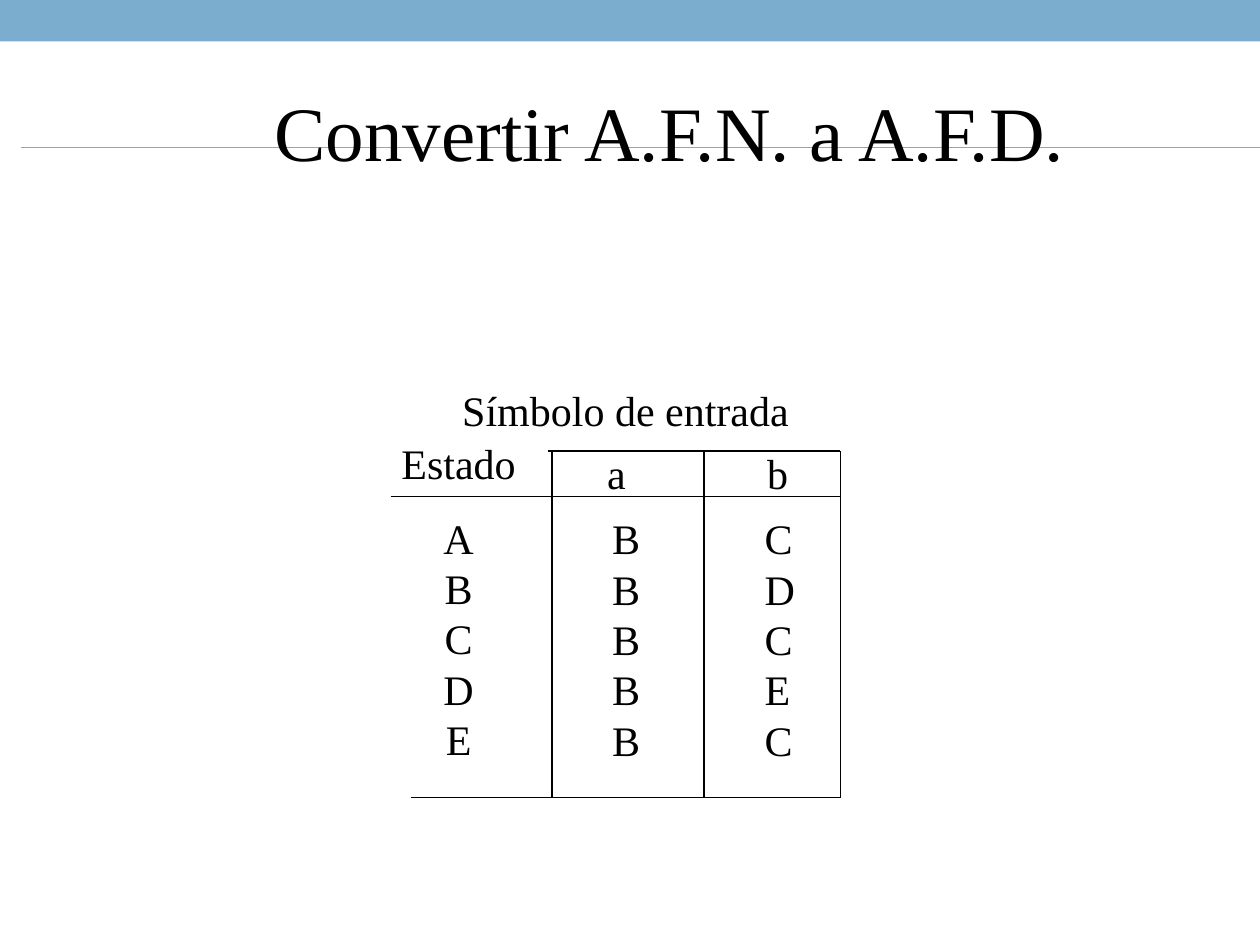
from dataclasses import dataclass

from lxml import etree
from pptx import Presentation
from pptx.dml.color import RGBColor
from pptx.enum.shapes import MSO_CONNECTOR, MSO_SHAPE
from pptx.enum.text import MSO_ANCHOR, PP_ALIGN
from pptx.oxml.ns import qn
from pptx.slide import Slide
from pptx.util import Inches, Pt

LEFT, CENTER = PP_ALIGN.LEFT, PP_ALIGN.CENTER
TOP, MIDDLE = MSO_ANCHOR.TOP, MSO_ANCHOR.MIDDLE
STRAIGHT = MSO_CONNECTOR.STRAIGHT
RECTANGLE = MSO_SHAPE.RECTANGLE

BLACK = RGBColor(0x00, 0x00, 0x00)
BLUE = RGBColor(0x7B, 0xAE, 0xCE)
FONT = "Times New Roman"

HEADER_TOP, HEADER_BOTTOM, TABLE_BOTTOM = 3.58, 3.94, 6.33
TABLE_RIGHT = 6.67


@dataclass(frozen=True)
class Rule:
    x1: float
    y1: float
    x2: float
    y2: float
    color: RGBColor = BLACK


@dataclass(frozen=True)
class Label:
    left: float
    top: float
    width: float
    height: float
    lines: tuple[str, ...]
    size: int = 24
    align: PP_ALIGN = LEFT
    anchor: MSO_ANCHOR = TOP
    header_gap: int = 0


RULES = [
    Rule(0.17, 1.17, 10, 1.17, BLUE),
    Rule(3.1, HEADER_BOTTOM, TABLE_RIGHT, HEADER_BOTTOM),
    Rule(3.26, TABLE_BOTTOM, TABLE_RIGHT, TABLE_BOTTOM),
    Rule(4.35, HEADER_TOP, TABLE_RIGHT, HEADER_TOP),
    *(Rule(x, HEADER_TOP, x, TABLE_BOTTOM) for x in (4.38, 5.59, TABLE_RIGHT)),
]

LABELS = [
    Label(2.94, 3.42, 1.4, 2.7, ("Estado", *"ABCDE"), align=CENTER, header_gap=14),
    Label(3.57, 3, 3.81, 0.5, ("Símbolo de entrada",)),
    Label(4.72, 3.5, 0.5, 0.5, ("a",)),
    Label(5.99, 3.5, 0.5, 0.5, ("b",)),
    Label(4.76, 4.02, 0.5, 2.1, tuple("BBBBB")),
    Label(5.97, 4.02, 0.5, 2.1, tuple("CDCEC")),
    Label(2.08, 0.25, 7.75, 1.58, ("Convertir A.F.N. a A.F.D.",), 44, anchor=MIDDLE),
]


def draw_band(page: Slide) -> None:
    band = page.shapes.add_shape(RECTANGLE, 0, 0, Inches(10), Inches(0.33))
    band.shadow.inherit = False
    band.fill.solid()
    band.fill.fore_color.rgb = BLUE
    band.line.fill.background()


def draw_rule(page: Slide, rule: Rule) -> None:
    ends = (Inches(value) for value in (rule.x1, rule.y1, rule.x2, rule.y2))
    connector = page.shapes.add_connector(STRAIGHT, *ends)
    connector.line.color.rgb = rule.color
    connector.line.width = Pt(1)
    etree.SubElement(connector._element.spPr, qn("a:effectLst"))


def draw_label(page: Slide, label: Label) -> None:
    bounds = (Inches(v) for v in (label.left, label.top, label.width, label.height))
    frame = page.shapes.add_textbox(*bounds).text_frame
    frame.word_wrap = True
    frame.vertical_anchor = label.anchor
    font_format = {"name": FONT, "size": Pt(label.size)}
    for index, line in enumerate(label.lines):
        para = frame.add_paragraph() if index else frame.paragraphs[0]
        para.alignment = label.align
        if index == 1 and label.header_gap:
            para.space_before = Pt(label.header_gap)
        span = para.add_run()
        span.text = line
        for name, value in font_format.items():
            setattr(span.font, name, value)
        span.font.color.rgb = BLACK


def main() -> None:
    deck = Presentation()
    deck.slide_width, deck.slide_height = Inches(10), Inches(7.5)
    page = deck.slides.add_slide(deck.slide_layouts[6])
    draw_band(page)
    for rule in RULES:
        draw_rule(page, rule)
    for label in LABELS:
        draw_label(page, label)
    deck.save("out.pptx")


if __name__ == "__main__":
    main()
